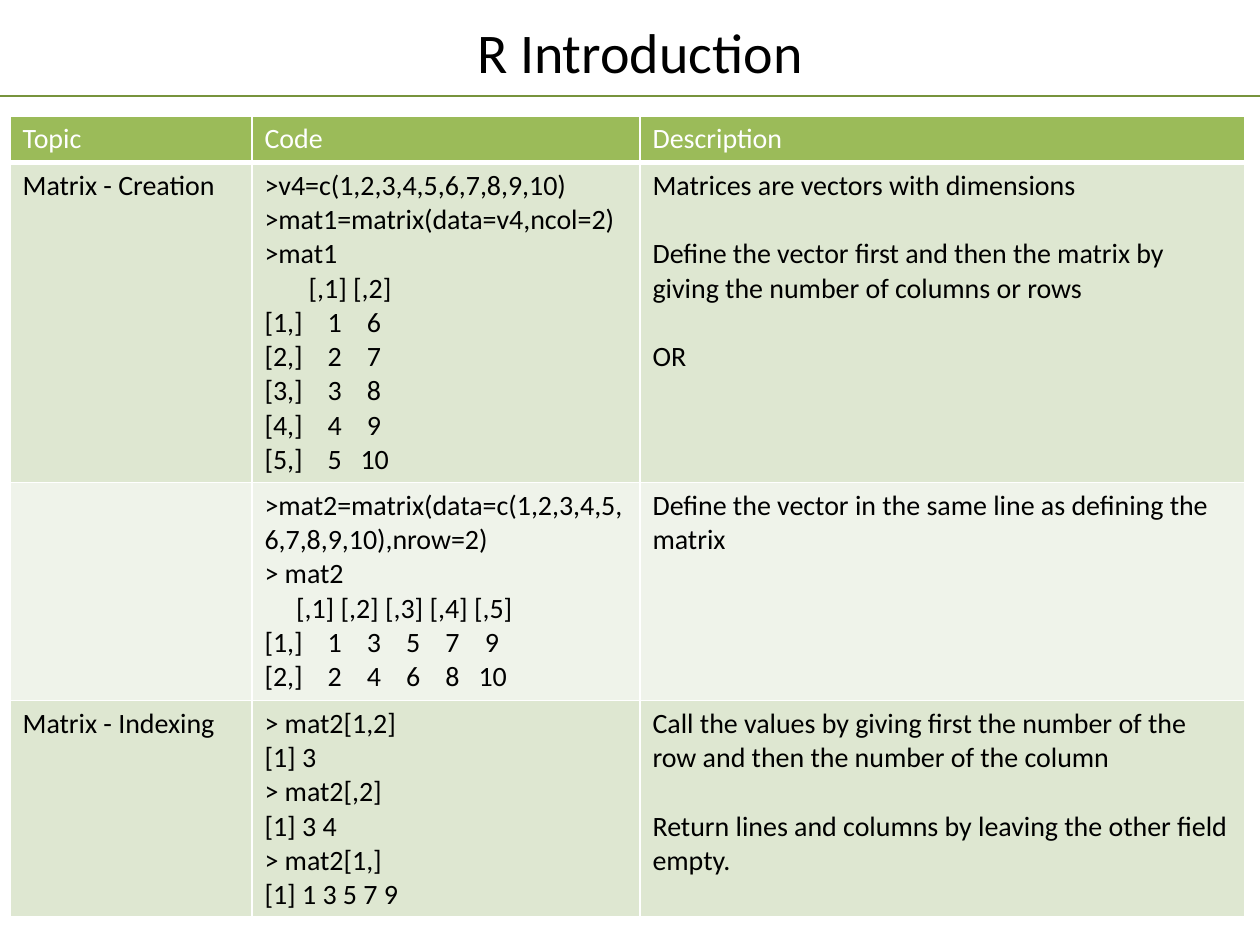
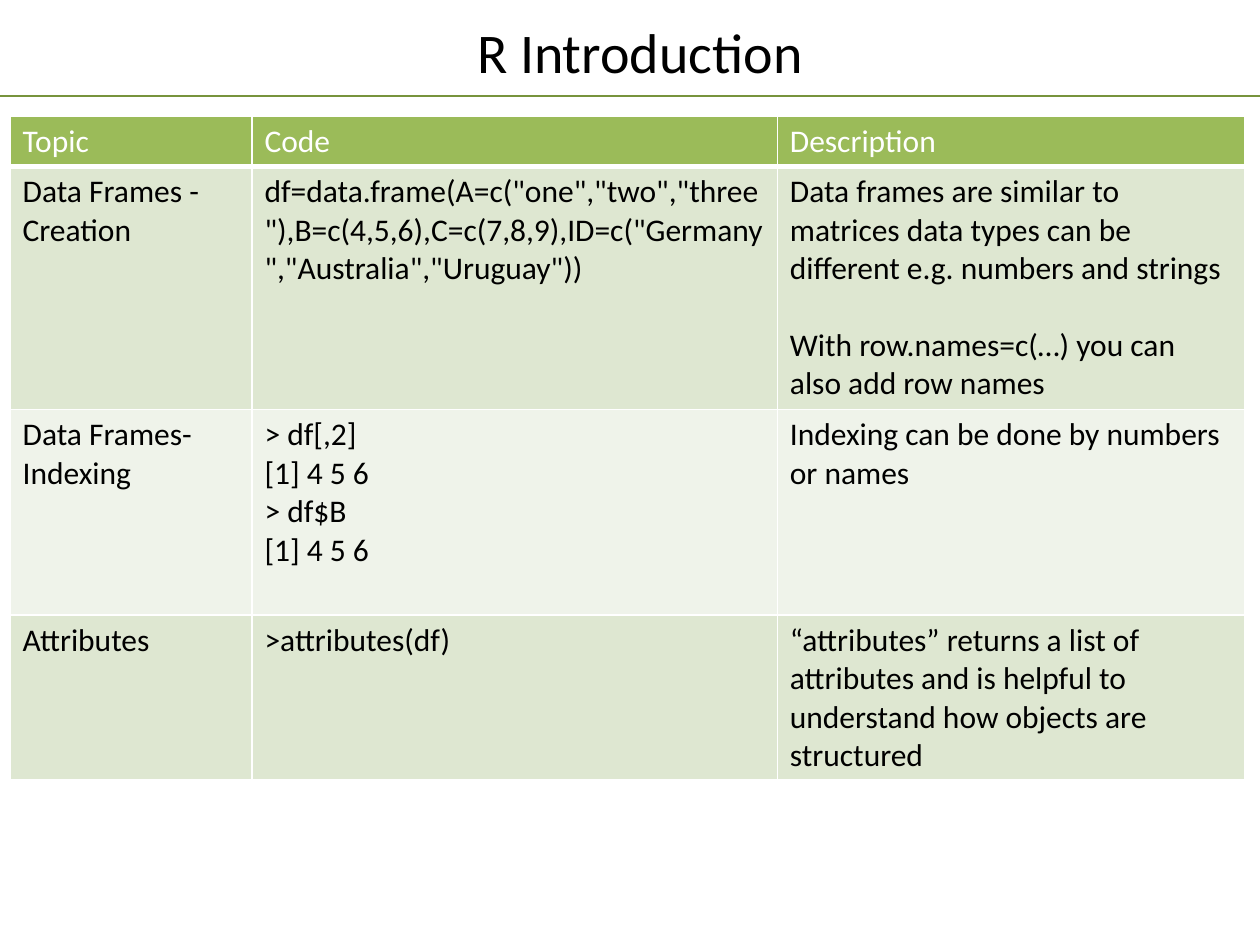
import pptx
import pptx.dml.color
import pptx.enum.shapes
import pptx.enum.text
import pptx.oxml.ns
import pptx.util
import lxml.etree

COLORS = {
    "text": "000000", "white": "FFFFFF", "rule": "77933C",
    "header": "9BBB59", "odd": "DEE7D1", "even": "EFF3EA",
}
FONT = "Calibri"
GRID_COLUMNS, GRID_ROWS = 100, 75
HEADINGS = ["Topic", "Code", "Description"]
LINE_HEIGHT = 1.22
CENTERED = {"alignment": pptx.enum.text.PP_ALIGN.CENTER}
FIRST_TAB, TAB_STEP, DIGIT_WIDTH = 5, 3.12, 0.5


def color(name):
    return pptx.dml.color.RGBColor.from_string(COLORS[name])


def apply(target, values):
    for name, value in values.items():
        setattr(target, name, value)


def add_xml(parent, tag, **attributes):
    return lxml.etree.SubElement(
        parent, pptx.oxml.ns.qn(tag), {key: str(value) for key, value in attributes.items()}
    )


def matrix_lines(row_count, column_count, heading_indent):
    headings = " ".join(f"[,{column + 1}]" for column in range(column_count))
    lines = [{"text": headings, "indent": heading_indent}]
    for row in range(row_count):
        values = [str(column * row_count + row + 1) for column in range(column_count)]
        tabs = [
            FIRST_TAB + TAB_STEP * column - DIGIT_WIDTH * (len(value) - 1)
            for column, value in enumerate(values)
        ]
        lines.append({"text": "\t".join([f"[{row + 1},]", *values]), "tabs": tabs})
    return lines


class Deck:
    def __init__(self, presentation):
        self.presentation = presentation
        self.slide = None

    def x(self, columns):
        return round(self.presentation.slide_width * columns / GRID_COLUMNS)

    def y(self, rows):
        return round(self.presentation.slide_height * rows / GRID_ROWS)

    def new_slide(self, title):
        self.slide = self.presentation.slides.add_slide(self.presentation.slide_layouts[6])
        self.rule(7.6)
        self.title(title)

    def rule(self, row):
        line = self.slide.shapes.add_connector(
            pptx.enum.shapes.MSO_CONNECTOR.STRAIGHT,
            0, self.y(row), self.x(GRID_COLUMNS), self.y(row),
        )
        line.line.color.rgb = color("rule")
        line.line.width = pptx.util.Pt(1)
        add_xml(line._element.spPr, "a:effectLst")

    def title(self, text):
        box = self.slide.shapes.add_textbox(self.x(14.6), self.y(0.5), self.x(72.4), self.y(7.1))
        apply(box.text_frame, {
            "word_wrap": True, "vertical_anchor": pptx.enum.text.MSO_ANCHOR.MIDDLE,
        })
        self.add_text(box.text_frame.paragraphs[0], text, 32, "text", CENTERED)

    def add_text(self, paragraph, text, size, color_name, layout):
        apply(paragraph, layout)
        run = paragraph.add_run()
        run.text = text
        apply(run.font, {"name": FONT, "size": pptx.util.Pt(size), "bold": False})
        run.font.color.rgb = color(color_name)

    def align_columns(self, paragraph, line):
        properties = paragraph._p.get_or_add_pPr()
        if "indent" in line:
            properties.set("marL", str(self.x(line["indent"])))
        if "tabs" in line:
            tab_list = add_xml(properties, "a:tabLst")
            for tab in line["tabs"]:
                add_xml(tab_list, "a:tab", pos=self.x(tab), algn="l")

    def borders(self, cell, bottom_width):
        properties = cell._tc.get_or_add_tcPr()
        widths = {"a:lnL": 1, "a:lnR": 1, "a:lnT": 1, "a:lnB": bottom_width}
        for position, (tag, width) in enumerate(widths.items()):
            border = add_xml(properties, tag, w=pptx.util.Pt(width))
            add_xml(add_xml(border, "a:solidFill"), "a:srgbClr", val=COLORS["white"])
            properties.insert(position, border)

    def fill_cell(self, cell, lines, size, text_color, fill, gap, bottom_width):
        cell.fill.solid()
        cell.fill.fore_color.rgb = color(fill)
        self.borders(cell, bottom_width)
        frame = cell.text_frame
        for index, line in enumerate(lines):
            paragraph = frame.add_paragraph() if index else frame.paragraphs[0]
            if isinstance(line, str):
                line = {"text": line}
            space = gap if index < len(lines) - 1 else 0
            self.add_text(paragraph, line["text"], size, text_color,
                          {"space_after": pptx.util.Pt(space)})
            self.align_columns(paragraph, line)

    def table(self, widths, heights, size, body):
        content = [[[heading] for heading in HEADINGS], *body]
        table = self.slide.shapes.add_table(
            len(content), len(widths), self.x(0.8), self.y(9.2),
            self.x(sum(widths)), self.y(sum(heights)),
        ).table
        for column, width in zip(table.columns, widths):
            column.width = self.x(width)
        for row, height in zip(table.rows, heights):
            row.height = self.y(height)
        for row_index, cells in enumerate(content):
            is_header = row_index == 0
            fill = "header" if is_header else "odd" if row_index % 2 else "even"
            for column_index, lines in enumerate(cells):
                is_description = HEADINGS[column_index] == "Description"
                self.fill_cell(
                    table.cell(row_index, column_index), lines, size,
                    "white" if is_header else "text", fill,
                    round(size * LINE_HEIGHT, 1) if is_description else 0,
                    3 if is_header else 1,
                )


MATRIX_ROWS = [
    [
        ["Matrix - Creation"],
        [">v4=c(1,2,3,4,5,6,7,8,9,10)", ">mat1=matrix(data=v4,ncol=2)", ">mat1",
         *matrix_lines(5, 2, 3.5)],
        ["Matrices are vectors with dimensions",
         "Define the vector first and then the matrix by giving the number of columns or rows",
         "OR"],
    ],
    [
        [],
        [">mat2=matrix(data=c(1,2,3,4,5,6,7,8,9,10),nrow=2)", "> mat2",
         *matrix_lines(2, 5, 2.5)],
        ["Define the vector in the same line as defining the matrix"],
    ],
    [
        ["Matrix - Indexing"],
        ["> mat2[1,2]", "[1] 3", "> mat2[,2]", "[1] 3 4", "> mat2[1,]", "[1] 1 3 5 7 9"],
        ["Call the values by giving first the number of the row and then the number of the column",
         "Return lines and columns by leaving the other field empty."],
    ],
]

DATA_FRAME_ROWS = [
    [
        ["Data Frames - Creation"],
        ['df=data.frame(A=c("one","two","three"),B=c(4,5,6),C=c(7,8,9),'
         'ID=c("Germany","Australia","Uruguay"))'],
        ["Data frames are similar to matrices data types can be different "
         "e.g. numbers and strings",
         "With row.names=c(…) you can also add row names"],
    ],
    [
        ["Data Frames- Indexing"],
        ["> df[,2]", "[1] 4 5 6", "> df$B", "[1] 4 5 6"],
        ["Indexing can be done by numbers or names"],
    ],
    [
        ["Attributes"],
        [">attributes(df)"],
        ["“attributes” returns a list of attributes and is helpful to understand "
         "how objects are structured"],
    ],
]


def main():
    presentation = pptx.Presentation()
    apply(presentation, {
        "slide_width": pptx.util.Inches(10), "slide_height": pptx.util.Inches(7.5),
    })
    deck = Deck(presentation)
    deck.new_slide("R Introduction")
    deck.table([19.2, 30.8, 48], [3.7, 25.4, 17.3, 17.2], 16, MATRIX_ROWS)
    deck.new_slide("R Introduction")
    deck.table([19.2, 41.7, 37.1], [4, 19.3, 16.3, 13.1], 18, DATA_FRAME_ROWS)
    presentation.save("out.pptx")


if __name__ == "__main__":
    main()
